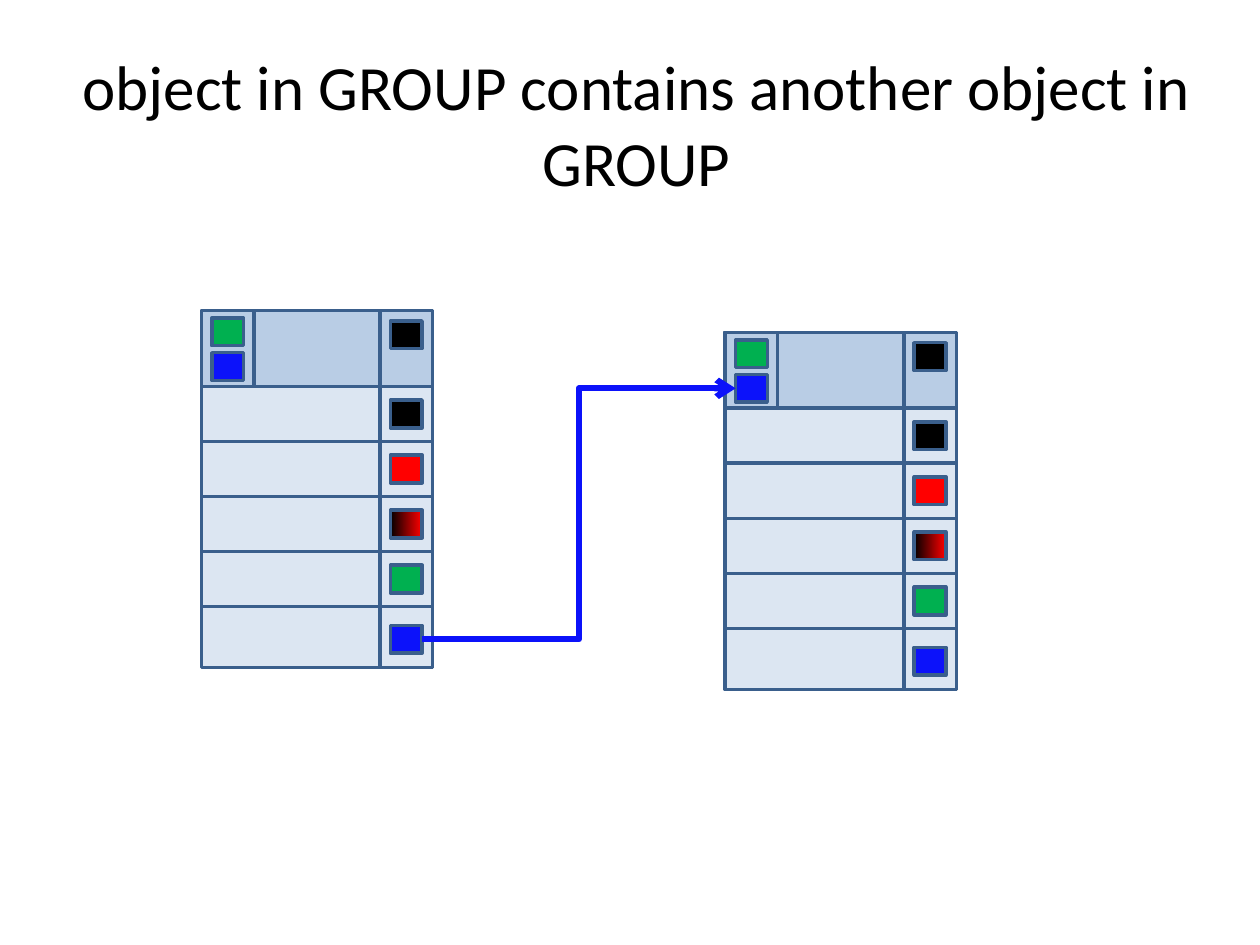
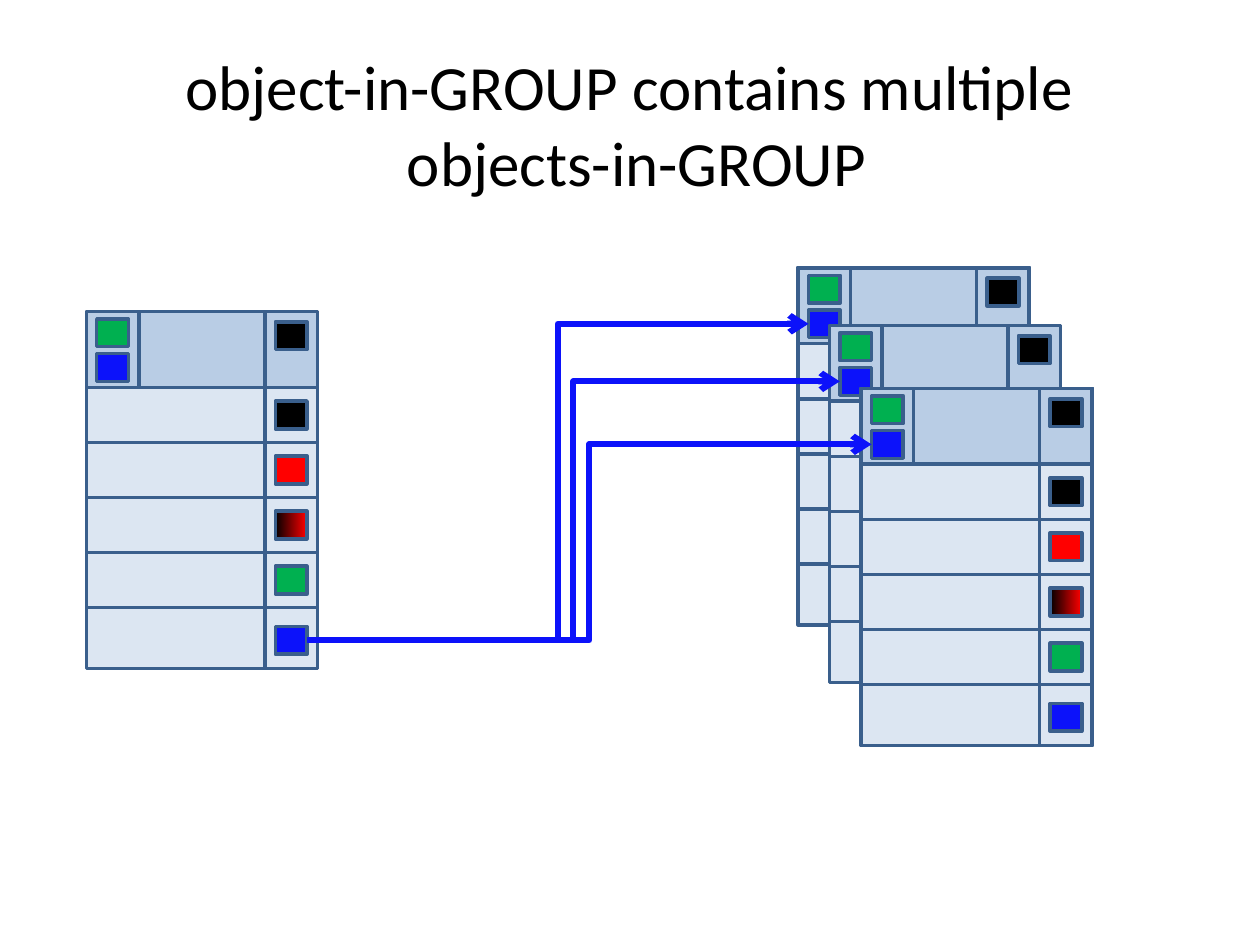
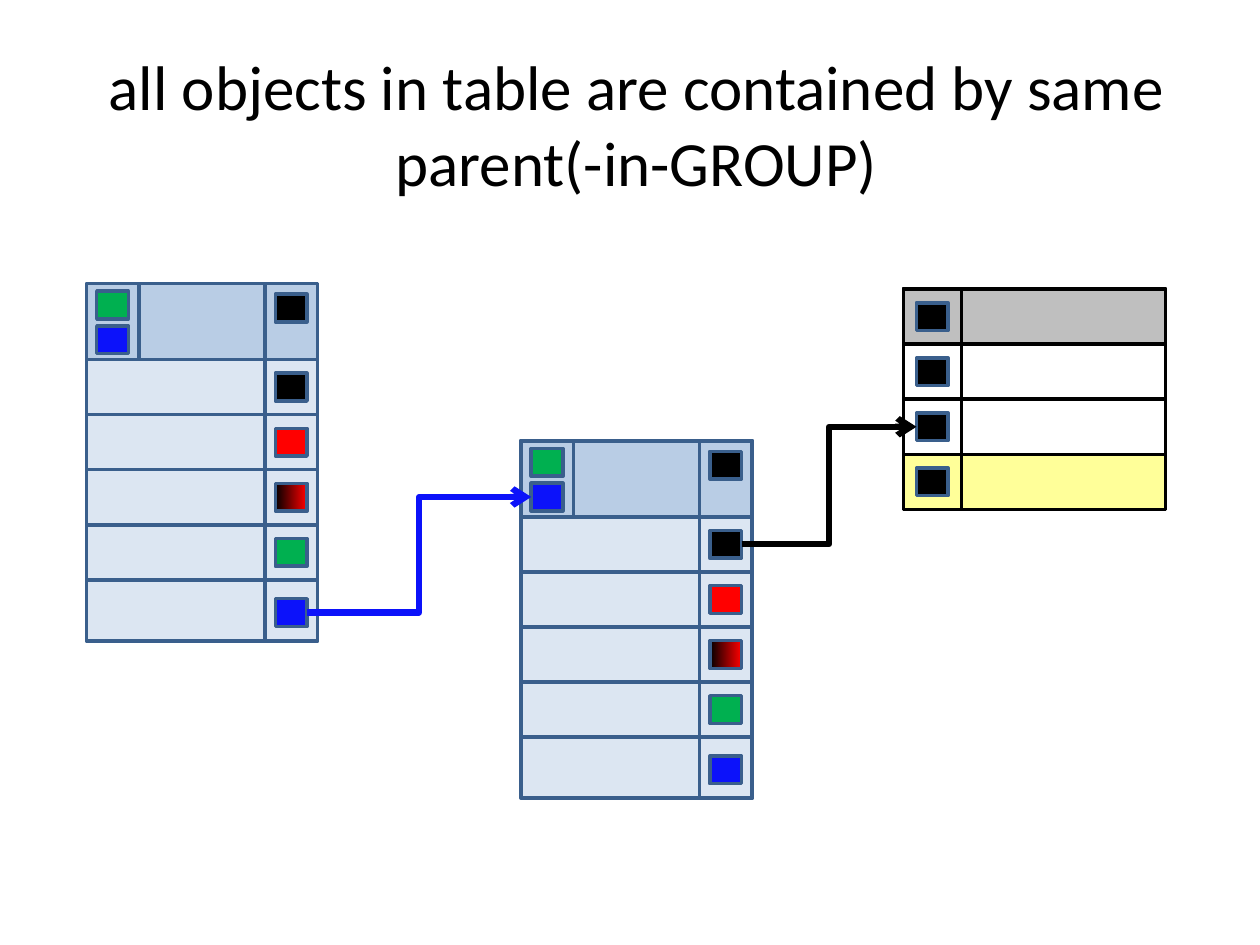
from lxml import etree
from pptx import Presentation
from pptx.dml.color import RGBColor
from pptx.enum.shapes import MSO_CONNECTOR, MSO_SHAPE
from pptx.enum.text import MSO_ANCHOR, MSO_AUTO_SIZE, PP_ALIGN
from pptx.oxml.ns import qn
from pptx.util import Cm, Pt

RECTANGLE = MSO_SHAPE.RECTANGLE
ELBOW = MSO_CONNECTOR.ELBOW
MIDDLE = MSO_ANCHOR.MIDDLE
NO_AUTOFIT = MSO_AUTO_SIZE.NONE
CENTER = PP_ALIGN.CENTER
TITLE_ONLY = 5
LEFT_SIDE, RIGHT_SIDE = 1, 3

BLACK, RED, GREEN, BLUE = "000000", "FF0000", "00B050", "0C12FA"
OUTLINE, BODY, HEADER = "3A5F8C", "DCE6F2", "B9CDE5"
GRAY, YELLOW = "BFBFBF", "FFFF99"
BLACK_TO_RED = (BLACK, RED)

MARKER_WIDTH, MARKER_HEIGHT = 0.64, 0.56
ROW_HEIGHT = 1.11
ROW_INSET = (ROW_HEIGHT - MARKER_HEIGHT) / 2

OBJECT_WIDTH, OBJECT_HEIGHT = 4.66, 7.2
HEADER_HEIGHT, SIDE_WIDTH = 1.53, 1.06
SIDE_INSET = (SIDE_WIDTH - MARKER_WIDTH) / 2
SIDE_LEFT = OBJECT_WIDTH - SIDE_WIDTH
FIELDS = [("table", BLACK), ("red", RED), ("mixed", BLACK_TO_RED), ("green", GREEN)]
CONTENTS_TOP = 6.35
HEADER_MARKERS = [
    ("header black", SIDE_LEFT, 0.21, BLACK),
    ("header green", 0, 0.15, GREEN),
    ("container", 0, 0.85, BLUE),
]

TABLE_WIDTH, KEY_WIDTH = 5.29, 1.17
TABLE_ROWS = [GRAY, None, None, YELLOW]

SLIDES = [
    {
        "title": ["object in GROUP contains another object in GROUP"],
        "objects": {"parent": (4.06, 6.26, True), "child": (14.62, 6.7, True)},
        "links": [("parent", "contents", "child", "container", BLUE)],
    },
    {
        "title": ["object-in-GROUP contains multiple ", "objects-in-GROUP"],
        "objects": {
            "parent": (1.74, 6.28, True),
            "back child": (16.09, 5.4, False),
            "middle child": (16.72, 6.56, False),
            "front child": (17.36, 7.83, True),
        },
        "links": [
            ("parent", "contents", child, "container", BLUE)
            for child in ("back child", "middle child", "front child")
        ],
    },
    {
        "title": ["all objects in table are contained by same parent(-in-GROUP)"],
        "table": (18.21, 5.83),
        "objects": {"parent": (1.74, 5.72, True), "child": (10.5, 8.89, True)},
        "links": [
            ("parent", "contents", "child", "container", BLUE),
            ("child", "table", "table", 2, BLACK),
        ],
    },
]


def color(value):
    return RGBColor.from_string(value)


def add_box(group, left, top, width, height, fill=None, line=OUTLINE):
    shape = group.shapes.add_shape(RECTANGLE, Cm(left), Cm(top), Cm(width), Cm(height))
    shape.shadow.inherit = False
    shape.line.color.rgb = color(line)
    shape.line.width = Pt(2)
    if fill is None:
        shape.fill.background()
    elif isinstance(fill, tuple):
        shape.fill.gradient()
        shape.fill.gradient_angle = 0
        for stop, value in zip(shape.fill.gradient_stops, fill):
            stop.color.rgb = color(value)
    else:
        shape.fill.solid()
        shape.fill.fore_color.rgb = color(fill)
    return shape


def add_marker(group, left, top, fill):
    return add_box(group, left, top, MARKER_WIDTH, MARKER_HEIGHT, fill)


def add_object(slide, left, top, shows_fields):
    group = slide.shapes.add_group_shape()
    add_box(group, left, top, OBJECT_WIDTH, OBJECT_HEIGHT, BODY)
    add_box(group, left, top, OBJECT_WIDTH, HEADER_HEIGHT, HEADER)
    row_tops = [HEADER_HEIGHT + row * ROW_HEIGHT for row in range(len(FIELDS))]
    for row_top in row_tops:
        add_box(group, left, top + row_top, OBJECT_WIDTH, ROW_HEIGHT)
    add_box(group, left + SIDE_LEFT, top, SIDE_WIDTH, OBJECT_HEIGHT)
    add_box(group, left, top, SIDE_WIDTH, HEADER_HEIGHT)

    markers = list(HEADER_MARKERS)
    if shows_fields:
        for (name, fill), row_top in zip(FIELDS, row_tops):
            markers.append((name, SIDE_LEFT, row_top + ROW_INSET, fill))
        markers.append(("contents", SIDE_LEFT, CONTENTS_TOP, BLUE))
    return {
        name: add_marker(group, left + column + SIDE_INSET, top + offset, fill)
        for name, column, offset, fill in markers
    }


def add_group_table(slide, left, top):
    group = slide.shapes.add_group_shape()
    height = ROW_HEIGHT * len(TABLE_ROWS)
    row_tops = [top + row * ROW_HEIGHT for row in range(len(TABLE_ROWS))]
    for row_top, fill in zip(row_tops, TABLE_ROWS):
        add_box(group, left, row_top, TABLE_WIDTH, ROW_HEIGHT, fill, BLACK)
    add_box(group, left, top, TABLE_WIDTH, height, None, BLACK)
    add_box(group, left, top, KEY_WIDTH, height, None, BLACK)
    marker_left = left + (KEY_WIDTH - MARKER_WIDTH) / 2
    return {
        row: add_marker(group, marker_left, row_top + ROW_INSET, BLACK)
        for row, row_top in enumerate(row_tops)
    }


def add_link(slide, source, target, line_color):
    connector = slide.shapes.add_connector(ELBOW, 0, 0, 0, 0)
    connector.begin_connect(source, RIGHT_SIDE)
    connector.end_connect(target, LEFT_SIDE)
    connector.line.color.rgb = color(line_color)
    connector.line.width = Pt(3.5)
    properties = connector._element.spPr
    etree.SubElement(properties.find(qn("a:ln")), qn("a:tailEnd"), type="arrow")
    etree.SubElement(properties, qn("a:effectLst"))


def set_title(slide, lines):
    title = slide.shapes.title
    title.left, title.top, title.width, title.height = Cm(1.4), Cm(1.7), Cm(22.86), Cm(1.57)
    frame = title.text_frame
    frame.auto_size = NO_AUTOFIT
    frame.vertical_anchor = MIDDLE
    paragraph = frame.paragraphs[0]
    for index, line in enumerate(lines):
        if index:
            paragraph.add_line_break()
        paragraph.add_run().text = line
    paragraph.alignment = CENTER
    paragraph.font.name = "Calibri"
    paragraph.font.size = Pt(36)
    paragraph.font.color.rgb = color(BLACK)


def add_slide(presentation, content):
    slide = presentation.slides.add_slide(presentation.slide_layouts[TITLE_ONLY])
    set_title(slide, content["title"])
    markers = {}
    if "table" in content:
        markers["table"] = add_group_table(slide, *content["table"])
    for name, placement in content["objects"].items():
        markers[name] = add_object(slide, *placement)
    for source, source_marker, target, target_marker, line_color in content["links"]:
        add_link(slide, markers[source][source_marker], markers[target][target_marker], line_color)


def main():
    presentation = Presentation()
    presentation.slide_width, presentation.slide_height = Cm(25.4), Cm(19.05)
    for content in SLIDES:
        add_slide(presentation, content)
    presentation.save("out.pptx")


if __name__ == "__main__":
    main()
